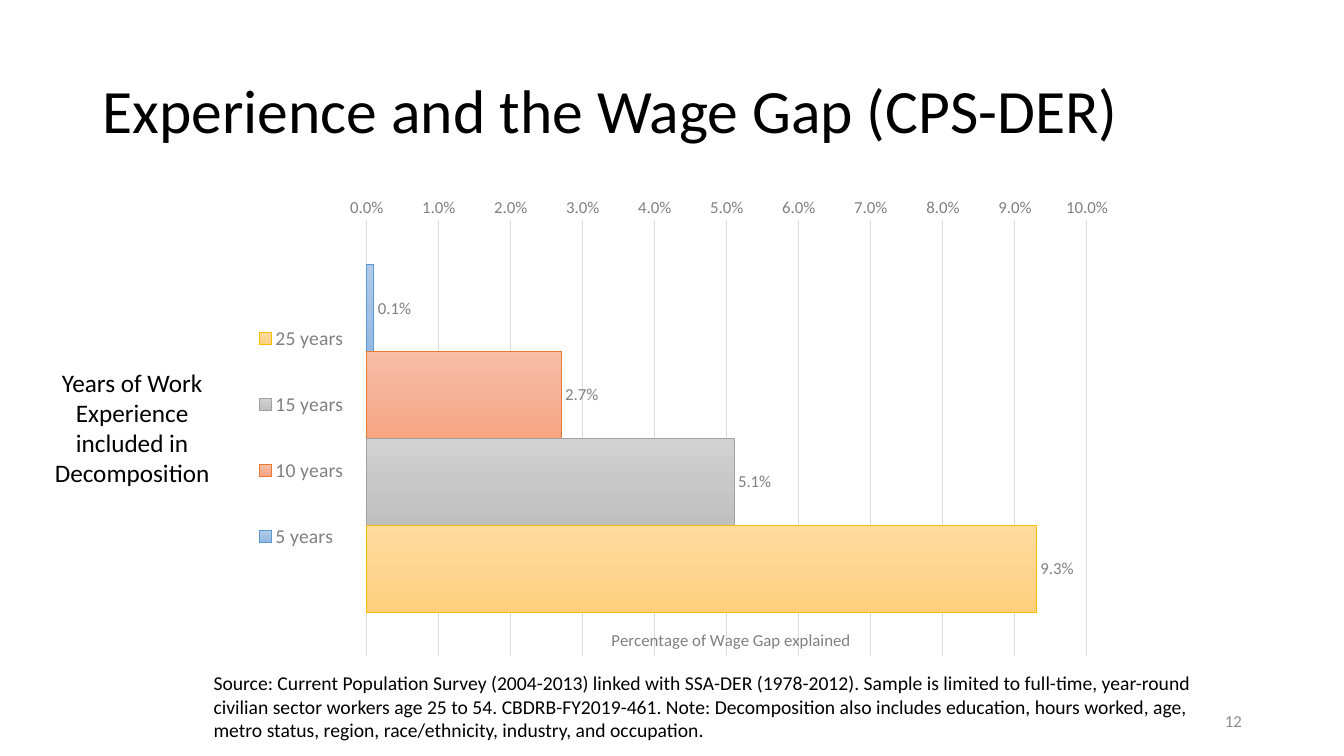
from copy import deepcopy
from dataclasses import dataclass

from lxml import etree
from pptx import Presentation
from pptx import util as u
from pptx.chart.data import CategoryChartData
from pptx.dml.color import RGBColor
from pptx.enum import chart as ch, text
from pptx.oxml.ns import qn


@dataclass(frozen=True)
class Theme:
    font: str = "Calibri"
    ink: str = "000000"
    chart_ink: str = "808080"
    number_ink: str = "8C8C8C"
    grid: str = "D9D9D9"
    title: int = 44
    body: int = 18
    note: int = 14
    small: int = 12
    hairline: float = 0.75


# Series: name, share explained, gradient stops from top to bottom, outline
SERIES = [
    ("5 years", 0.001, ("B1CBE9", "A3C1E5", "93B9E4"), "5998D0"),
    ("10 years", 0.027, ("F7BDA5", "F5B196", "F8A582"), "E87A30"),
    ("15 years", 0.051, ("D2D2D2", "C8C8C8", "C0C0C0"), "A1A1A1"),
    ("25 years", 0.093, ("FFDB9E", "FFD590", "FFD07C"), "F9BC00"),
]


class SlideBuilder:
    """Places elements by percentages of the slide's width and height."""

    def __init__(self, prs, theme):
        self.prs, self.theme = prs, theme
        self.s = prs.slides.add_slide(prs.slide_layouts[6])

    def box(self, x, y, w, h):
        sw, sh = self.prs.slide_width, self.prs.slide_height
        return [round(v * side / 100)
                for v, side in ((x, sw), (y, sh), (w, sw), (h, sh))]

    def style(self, font, size, color):
        font.name, font.size, font.bold = self.theme.font, u.Pt(size), False
        font.color.rgb = RGBColor.from_string(color)

    def line(self, line, color):
        line.color.rgb = RGBColor.from_string(color)
        line.width = u.Pt(self.theme.hairline)

    def text(self, at, words, size, color=None, align=text.PP_ALIGN.LEFT,
             anchor=text.MSO_ANCHOR.TOP, spacing=None):
        tf = self.s.shapes.add_textbox(*self.box(*at)).text_frame
        tf.word_wrap, tf.vertical_anchor = True, anchor
        tf.text = words
        p = tf.paragraphs[0]
        p.alignment, p.line_spacing = align, spacing
        self.style(p.runs[0].font, size, color or self.theme.ink)

    def layout(self, parent, index, **values):
        """Gives a chart part a fixed place, in shares of the chart."""
        node = parent.find(qn("c:layout"))
        if node is None:
            node = etree.Element(qn("c:layout"))
            parent.insert(index, node)
        manual = etree.SubElement(node, qn("c:manualLayout"))
        for tag, value in values.items():
            etree.SubElement(manual, qn(f"c:{tag}")).set("val", str(value))

    def gradient(self, ser, colors):
        fill = ser.format.fill
        fill.gradient()
        fill.gradient_angle = 270
        stops = ser._element.find(".//" + qn("a:gsLst"))
        stops.insert(1, deepcopy(stops[0]))
        for i, (stop, color) in enumerate(zip(fill.gradient_stops, colors)):
            stop.color.rgb = RGBColor.from_string(color)
            stops[i].set("pos", str(i * 50000))

    def bar_chart(self, at, series, axis_title):
        t = self.theme
        data = CategoryChartData(number_format="0.0%")
        data.categories = ["1"]
        for name, value, *_ in series:
            data.add_series(name, [value])
        chart = self.s.shapes.add_chart(
            ch.XL_CHART_TYPE.BAR_CLUSTERED, *self.box(*at), data).chart
        chart.has_title = False
        self.style(chart.font, t.small, t.chart_ink)

        # Bars and their labels
        plot = chart.plots[0]
        plot.gap_width, plot.overlap, plot.vary_by_categories = 100, 0, False
        for ser, (_, _, colors, outline) in zip(plot.series, series):
            ser.invert_if_negative = False
            self.gradient(ser, colors)
            self.line(ser.format.line, outline)
            labels = ser.data_labels
            labels.show_value = True
            labels.number_format, labels.number_format_is_linked = "0.0%", False
            labels.position = ch.XL_LABEL_POSITION.OUTSIDE_END
            self.style(labels.font, t.small, t.chart_ink)
        self.layout(chart._chartSpace.chart.plotArea, 0, layoutTarget="inner",
                    xMode="edge", yMode="edge", x=0.227, y=0.134, w=0.629, h=0.866)

        # Axes
        chart.category_axis.reverse_order = True
        chart.category_axis.visible = False
        axis = chart.value_axis
        axis.minimum_scale, axis.maximum_scale, axis.major_unit = 0, 0.1, 0.01
        axis.major_tick_mark = axis.minor_tick_mark = ch.XL_TICK_MARK.NONE
        axis.format.line.fill.background()
        self.line(axis.major_gridlines.format.line, t.grid)
        ticks = axis.tick_labels
        ticks.number_format, ticks.number_format_is_linked = "0.0%", False
        self.style(ticks.font, t.small, t.chart_ink)
        title = axis.axis_title
        title.text_frame.text = axis_title
        self.style(title.text_frame.paragraphs[0].runs[0].font, t.small, t.chart_ink)
        self.layout(title._element, 1, xMode="edge", yMode="edge", x=0.438, y=0.94)

        # Legend
        chart.has_legend = True
        legend = chart.legend
        legend.position = ch.XL_LEGEND_POSITION.RIGHT
        legend.include_in_layout = False
        self.style(legend.font, t.note, t.chart_ink)
        self.layout(legend._element, 1, xMode="edge", yMode="edge",
                    x=0.12, y=0.26, w=0.1, h=0.61)


def main():
    prs = Presentation()
    prs.slide_width, prs.slide_height = u.Inches(13.33), u.Inches(7.5)
    t = Theme()
    b = SlideBuilder(prs, t)

    # Title and slide number
    b.text((6.9, 5.33, 86.25, 19.33), "Experience and the Wage Gap (CPS-DER)",
           t.title, anchor=text.MSO_ANCHOR.MIDDLE, spacing=0.9)
    b.text((70.65, 92.67, 22.5, 5.33), "12", t.small, t.number_ink,
           text.PP_ALIGN.RIGHT, text.MSO_ANCHOR.MIDDLE)

    # Chart
    b.bar_chart((7.95, 20.4, 85.2, 66.4), SERIES,
                "Percentage of Wage Gap explained")

    # Source note and legend caption
    b.text((15.15, 88.13, 75.1, 10.8),
           "Source: Current Population Survey (2004-2013) linked with SSA-DER "
           "(1978-2012). Sample is limited to full-time, year-round civilian "
           "sector workers age 25 to 54. CBDRB-FY2019-461. Note: Decomposition "
           "also includes education, hours worked, age, metro status, region, "
           "race/ethnicity, industry, and occupation.", t.note)
    b.text((3.23, 47.87, 13.2, 17.47),
           "Years of Work Experience included in Decomposition", t.body,
           align=text.PP_ALIGN.CENTER)

    prs.save("out.pptx")


if __name__ == "__main__":
    main()
